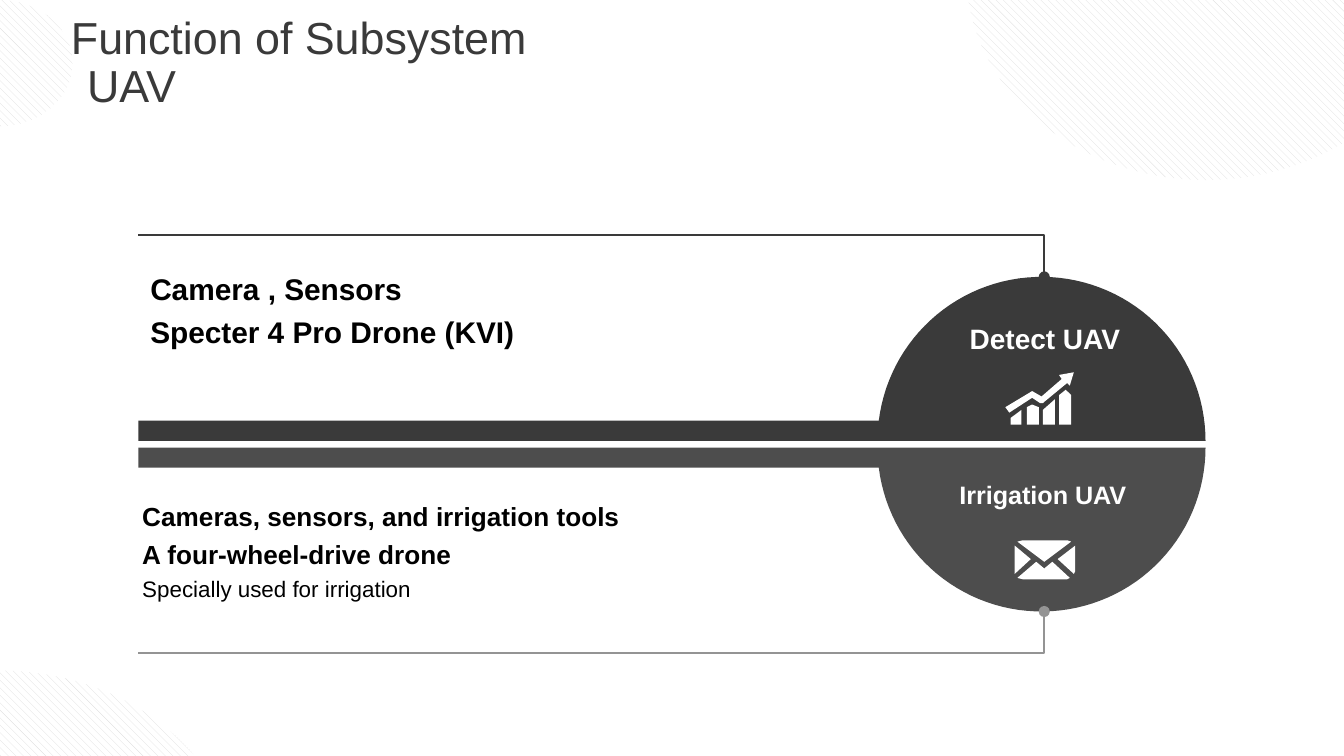
"""Build the slide on the functions of the UAV subsystem."""
import math

from lxml import etree
from pptx import Presentation
from pptx.dml.color import RGBColor
from pptx.enum.dml import MSO_PATTERN
from pptx.enum.shapes import MSO_SHAPE
from pptx.enum.text import PP_ALIGN
from pptx.oxml.ns import qn
from pptx.util import Inches, Pt

OVAL = MSO_SHAPE.OVAL
HATCH = MSO_PATTERN.WIDE_DOWNWARD_DIAGONAL
LEFT, CENTER = PP_ALIGN.LEFT, PP_ALIGN.CENTER

BLACK = RGBColor(0x00, 0x00, 0x00)
WHITE = RGBColor(0xFF, 0xFF, 0xFF)
DARK = RGBColor(0x3A, 0x3A, 0x3A)
MEDIUM = RGBColor(0x4D, 0x4D, 0x4D)
GREY = RGBColor(0x94, 0x94, 0x94)
PALE = RGBColor(0xDD, 0xDD, 0xDD)

FONT = "Arial"
LEFT_EDGE = 1.03
DISC_X, RADIUS = 7.75, 1.22
BAR_HEIGHT = 0.15
AXIS_X = 7.77

CHART_ICON = [
    [(7.48, 3.03), (7.68, 2.91), (7.75, 2.95), (7.9, 2.82), (7.88, 2.79),
     (7.99, 2.77), (7.96, 2.87), (7.94, 2.85), (7.77, 2.99), (7.76, 3),
     (7.74, 3), (7.68, 2.96), (7.51, 3.07)],
    [(7.52, 3.16), (7.52, 3.11), (7.6, 3.05), (7.6, 3.16)],
    [(7.64, 3.16), (7.64, 3.03), (7.68, 3.01), (7.73, 3.03), (7.73, 3.16)],
    [(7.76, 3.16), (7.76, 3.05), (7.85, 2.97), (7.85, 3.16)],
    [(7.88, 3.16), (7.88, 2.94), (7.93, 2.9), (7.97, 2.94), (7.97, 3.16)],
]
ENVELOPE_ICON = [
    [(7.57, 4.03), (7.61, 4.02), (7.94, 4.02), (7.97, 4.03), (7.77, 4.18)],
    [(8, 4.06), (7.87, 4.16), (7.99, 4.27), (8, 4.25)],
    [(7.57, 4.3), (7.71, 4.18), (7.77, 4.23), (7.83, 4.18), (7.96, 4.3),
     (7.94, 4.31), (7.61, 4.31)],
    [(7.55, 4.06), (7.67, 4.16), (7.55, 4.27)],
]


def add_outline(page, contours, closed=True):
    """Draw one freeform from contours given in inches."""
    builder = None
    for contour in contours:
        points = [(Inches(x), Inches(y)) for x, y in contour]
        if builder is None:
            builder = page.shapes.build_freeform(*points[0], scale=1.0)
        else:
            builder.move_to(*points[0])
        builder.add_line_segments(points[1:], close=closed)
    shape = builder.convert_to_shape()
    shape.shadow.inherit = False
    return shape


def add_solid(page, contours, color):
    """Draw a filled freeform without a line."""
    shape = add_outline(page, contours)
    shape.fill.solid()
    shape.fill.fore_color.rgb = color
    shape.line.fill.background()


def add_half_disc(page, base, direction, color):
    """Draw a half disc with a bar to its left; direction -1 is up, 1 is down."""
    last = math.pi - math.asin(BAR_HEIGHT / RADIUS)
    steps = 60
    angles = [last * step / steps for step in range(steps + 1)]
    arc = [(DISC_X + RADIUS * math.cos(angle),
            base + direction * RADIUS * math.sin(angle)) for angle in angles]
    bar = [(LEFT_EDGE, base + direction * BAR_HEIGHT), (LEFT_EDGE, base)]
    add_solid(page, [arc + bar], color)


def add_leader(page, line_y, disc_y, color):
    """Draw a bent line that ends in a dot on the disc."""
    corners = [(LEFT_EDGE, line_y), (AXIS_X, line_y), (AXIS_X, disc_y)]
    leader = add_outline(page, [corners], closed=False)
    leader.fill.background()
    leader.line.color.rgb = color
    leader.line.width = Pt(1)
    outline = leader.element.spPr.find(qn("a:ln"))
    etree.SubElement(outline, qn("a:tailEnd"), type="oval")


def add_hatched_ellipse(page, left, top, width, height):
    """Draw a pale hatched ellipse."""
    ellipse = page.shapes.add_shape(
        OVAL, Inches(left), Inches(top), Inches(width), Inches(height))
    ellipse.shadow.inherit = False
    ellipse.fill.patterned()
    ellipse.fill.pattern = HATCH
    ellipse.fill.fore_color.rgb = PALE
    ellipse.fill.back_color.rgb = WHITE
    ellipse.line.fill.background()


def add_text(page, place, lines, color, align=LEFT, spacing=1.0, inset=True):
    """Add a text box with one (text, size, bold) triple per paragraph."""
    box = page.shapes.add_textbox(*[Inches(length) for length in place])
    frame = box.text_frame
    frame.word_wrap = inset
    if not inset:
        frame.margin_left = frame.margin_right = 0
        frame.margin_top = frame.margin_bottom = 0
    for index, (text, size, bold) in enumerate(lines):
        para = frame.add_paragraph() if index else frame.paragraphs[0]
        para.alignment = align
        para.line_spacing = spacing
        span = para.add_run()
        span.text = text
        span.font.name = FONT
        span.font.size = Pt(size)
        span.font.bold = bold
        span.font.color.rgb = color


def main():
    """Build and save the deck."""
    deck = Presentation()
    deck.slide_width = Inches(10)
    deck.slide_height = deck.slide_width * 9 // 16
    page = deck.slides.add_slide(deck.slide_layouts[6])

    add_half_disc(page, 3.28, -1, DARK)
    add_half_disc(page, 3.33, 1, MEDIUM)
    add_leader(page, 1.75, 2.06, DARK)
    add_leader(page, 4.86, 4.55, GREY)

    add_text(page, (7.21, 2.39, 1.13, 0.25), [("Detect UAV", 15, True)],
             WHITE, align=CENTER, inset=False)
    add_text(page, (7.13, 3.57, 1.26, 0.23), [("Irrigation UAV", 13.5, True)],
             WHITE, align=CENTER, inset=False)
    add_text(page, (1.02, 1.91, 4.36, 0.72),
             [("Camera , Sensors", 16, True),
              ("Specter 4 Pro Drone (KVI)", 16, True)], BLACK, spacing=1.2)
    add_text(page, (0.96, 3.63, 4.01, 0.89),
             [("Cameras, sensors, and irrigation tools", 14, True),
              ("A four-wheel-drive drone", 14, True),
              ("Specially used for irrigation", 12, False)], BLACK, spacing=1.2)
    add_solid(page, CHART_ICON, WHITE)
    add_solid(page, ENVELOPE_ICON, WHITE)

    add_hatched_ellipse(page, 7.19, -1.74, 3.57, 3.08)
    add_text(page, (0.55, 0.38, 2.33, 0.51), [("UAV", 24, False)], DARK)
    add_hatched_ellipse(page, -0.55, 0, 1.09, 0.94)
    add_hatched_ellipse(page, -1.78, 4.99, 3.57, 3.08)
    add_text(page, (0.43, 0.02, 3.66, 0.5),
             [("Function of Subsystem", 24, False)], DARK)

    deck.save("out.pptx")


if __name__ == "__main__":
    main()
